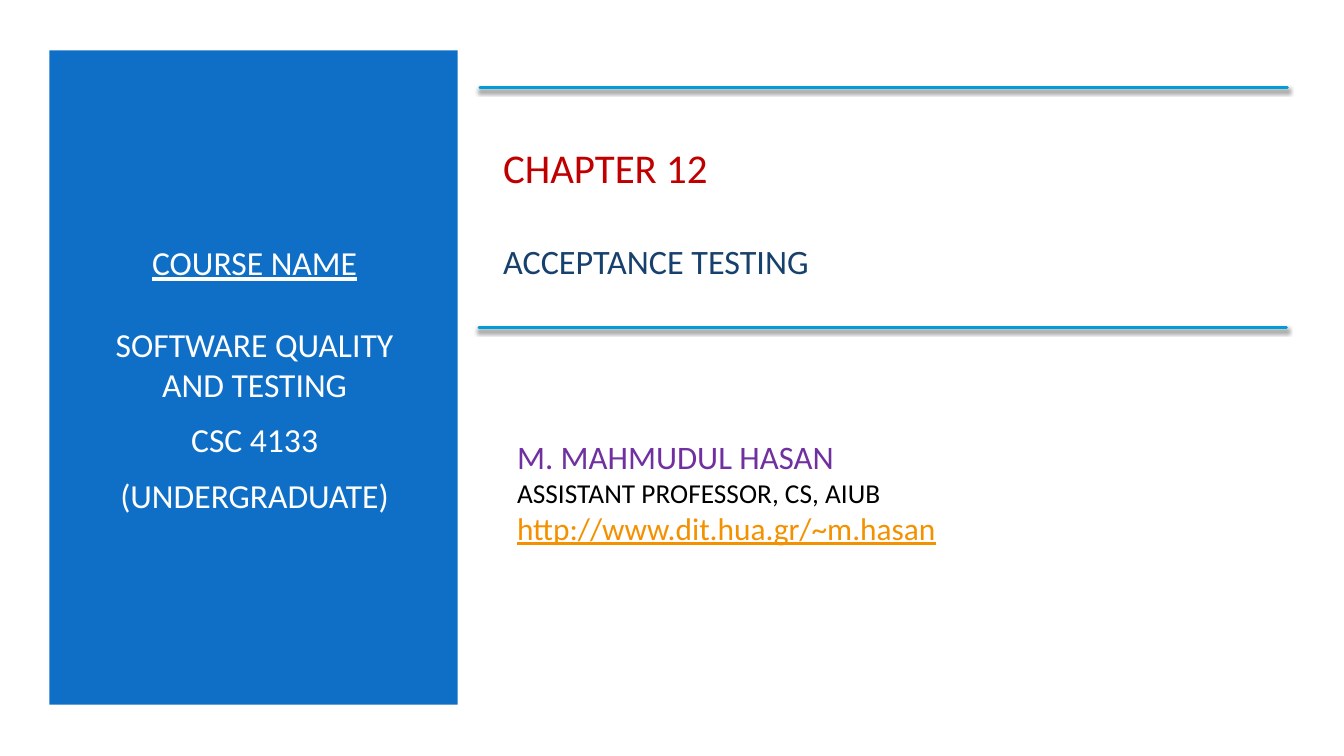
from lxml.etree import SubElement
from pptx import Presentation
from pptx.dml.color import RGBColor
from pptx.enum.shapes import MSO_CONNECTOR, MSO_SHAPE
from pptx.enum.text import MSO_ANCHOR, MSO_AUTO_SIZE, PP_ALIGN
from pptx.oxml import parse_xml
from pptx.oxml.ns import nsdecls
from pptx.util import Inches, Pt

WHITE = RGBColor(0xFF, 0xFF, 0xFF)
BLACK = RGBColor(0x00, 0x00, 0x00)
PANEL_BLUE = RGBColor(0x0F, 0x6F, 0xC6)
RULE_BLUE = RGBColor(0x00, 0x9D, 0xD9)
NAVY = RGBColor(0x17, 0x40, 0x6D)
RED = RGBColor(0xC0, 0x00, 0x00)
PURPLE = RGBColor(0x70, 0x30, 0xA0)
ORANGE = RGBColor(0xF4, 0x91, 0x00)
FONT = "Calibri"

COURSE = [
    ("COURSE NAME", 24, WHITE, True, 0),
    ("SOFTWARE QUALITY AND TESTING", 24, WHITE, False, 29.3),
    ("CSC 4133", 24, WHITE, False, 10.8),
    ("(UNDERGRADUATE)", 24, WHITE, False, 10.8),
]
CHAPTER = [
    ("CHAPTER 12", 29.2, RED, False, 0),
    ("ACCEPTANCE TESTING", 24.4, NAVY, False, 35),
]
AUTHOR = [
    ("M. MAHMUDUL HASAN", 23.4, PURPLE, False, 0),
    ("ASSISTANT PROFESSOR, CS, AIUB", 19.5, BLACK, False, 0),
    ("http://www.dit.hua.gr/~m.hasan", 22.4, ORANGE, True, 0),
]


def place(box, left, top, width, height):
    box.left, box.top = Inches(left), Inches(top)
    box.width, box.height = Inches(width), Inches(height)


def write_lines(box, lines, align):
    frame = box.text_frame
    frame.text = "\n".join(line[0] for line in lines)
    frame.word_wrap = True
    frame.auto_size = MSO_AUTO_SIZE.NONE
    frame.vertical_anchor = MSO_ANCHOR.MIDDLE
    for para, (_, size, color, underline, gap) in zip(frame.paragraphs, lines):
        para.alignment = align
        para.space_before = Pt(gap)
        para.space_after = Pt(0)
        for span in para.runs:
            span.font.name = FONT
            span.font.size = Pt(size)
            span.font.color.rgb = color
            span.font.underline = underline


def add_panel(page, left, top, width, height):
    panel = page.shapes.add_shape(
        MSO_SHAPE.RECTANGLE, Inches(left), Inches(top), Inches(width), Inches(height)
    )
    panel.shadow.inherit = False
    panel.fill.solid()
    panel.fill.fore_color.rgb = PANEL_BLUE
    panel.line.fill.background()
    page.shapes._spTree.remove(panel._element)
    page.shapes._spTree.insert(2, panel._element)


def add_rule(page, left, top, width):
    rule = page.shapes.add_connector(
        MSO_CONNECTOR.STRAIGHT, Inches(left), Inches(top), Inches(left + width), Inches(top)
    )
    rule.line.color.rgb = RULE_BLUE
    rule.line.width = Pt(2)
    rule.line._get_or_add_ln().set("cap", "rnd")
    effects = parse_xml(f"<a:effectLst {nsdecls('a')}/>")
    namespace = effects.nsmap["a"]
    shadow = SubElement(
        effects, f"{{{namespace}}}outerShdw",
        blurRad=str(Pt(3)), dist=str(Pt(2)), dir="5400000", rotWithShape="0",
    )
    color = SubElement(shadow, f"{{{namespace}}}srgbClr", val=str(BLACK))
    SubElement(color, f"{{{namespace}}}alpha", val="55000")
    rule._element.spPr.append(effects)


def main():
    deck = Presentation()
    deck.slide_width, deck.slide_height = Inches(13.33), Inches(7.5)
    page = deck.slides.add_slide(deck.slide_layouts[0])
    page.background.fill.solid()
    page.background.fill.fore_color.rgb = WHITE

    add_panel(page, 0.49, 0.5, 4.05, 6.49)

    course = page.placeholders[1]
    place(course, 0.84, 1.13, 3.37, 5.25)
    write_lines(course, COURSE, PP_ALIGN.CENTER)

    chapter = page.shapes.title
    place(chapter, 4.89, 1.1, 7.85, 2)
    write_lines(chapter, CHAPTER, PP_ALIGN.LEFT)

    author = page.shapes.add_textbox(Inches(5.03), Inches(4.1), Inches(6.66), Inches(1.56))
    write_lines(author, AUTHOR, PP_ALIGN.LEFT)

    add_rule(page, 4.76, 0.87, 8.01)
    add_rule(page, 4.75, 3.25, 8.01)
    deck.save("out.pptx")


if __name__ == "__main__":
    main()
